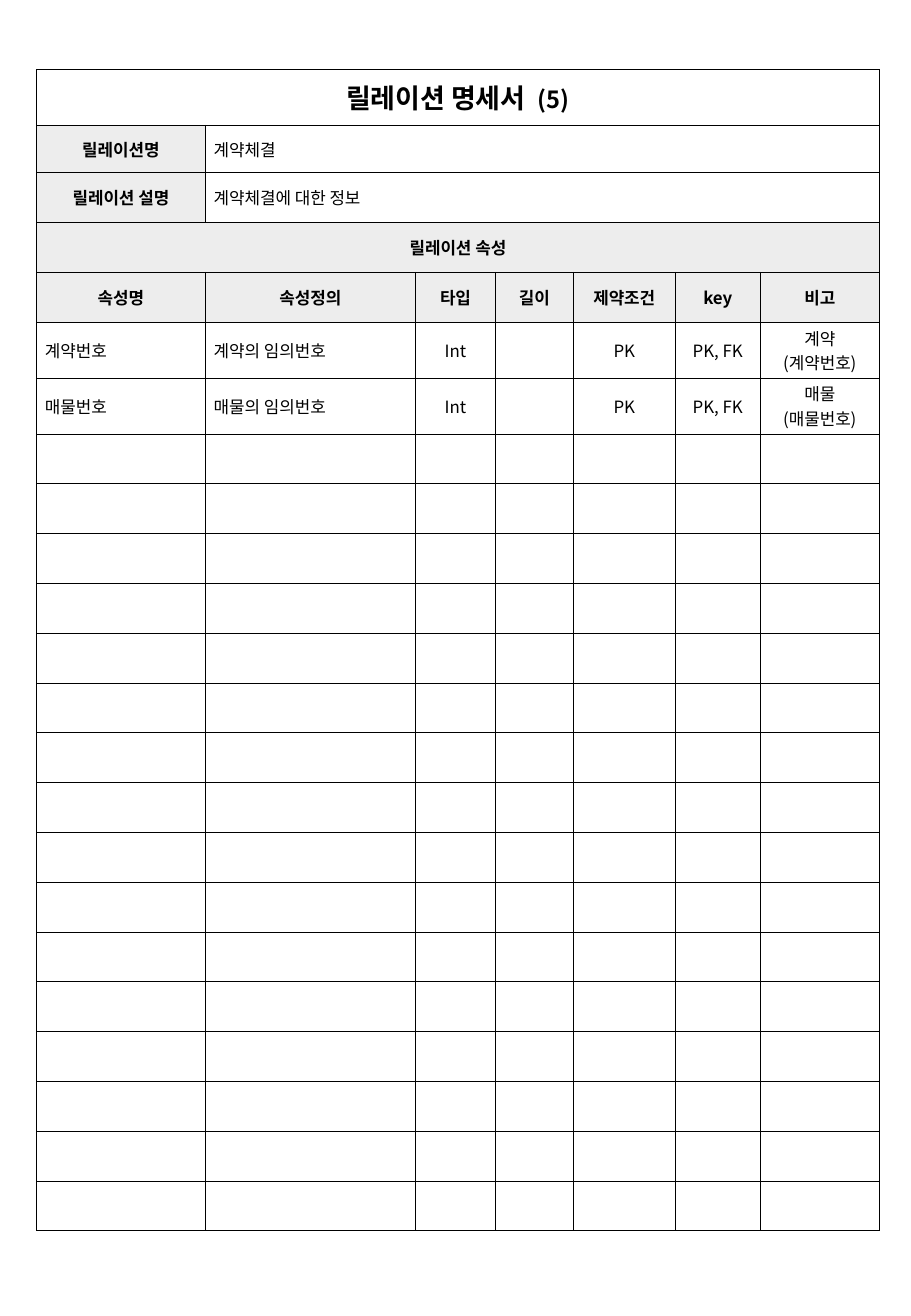
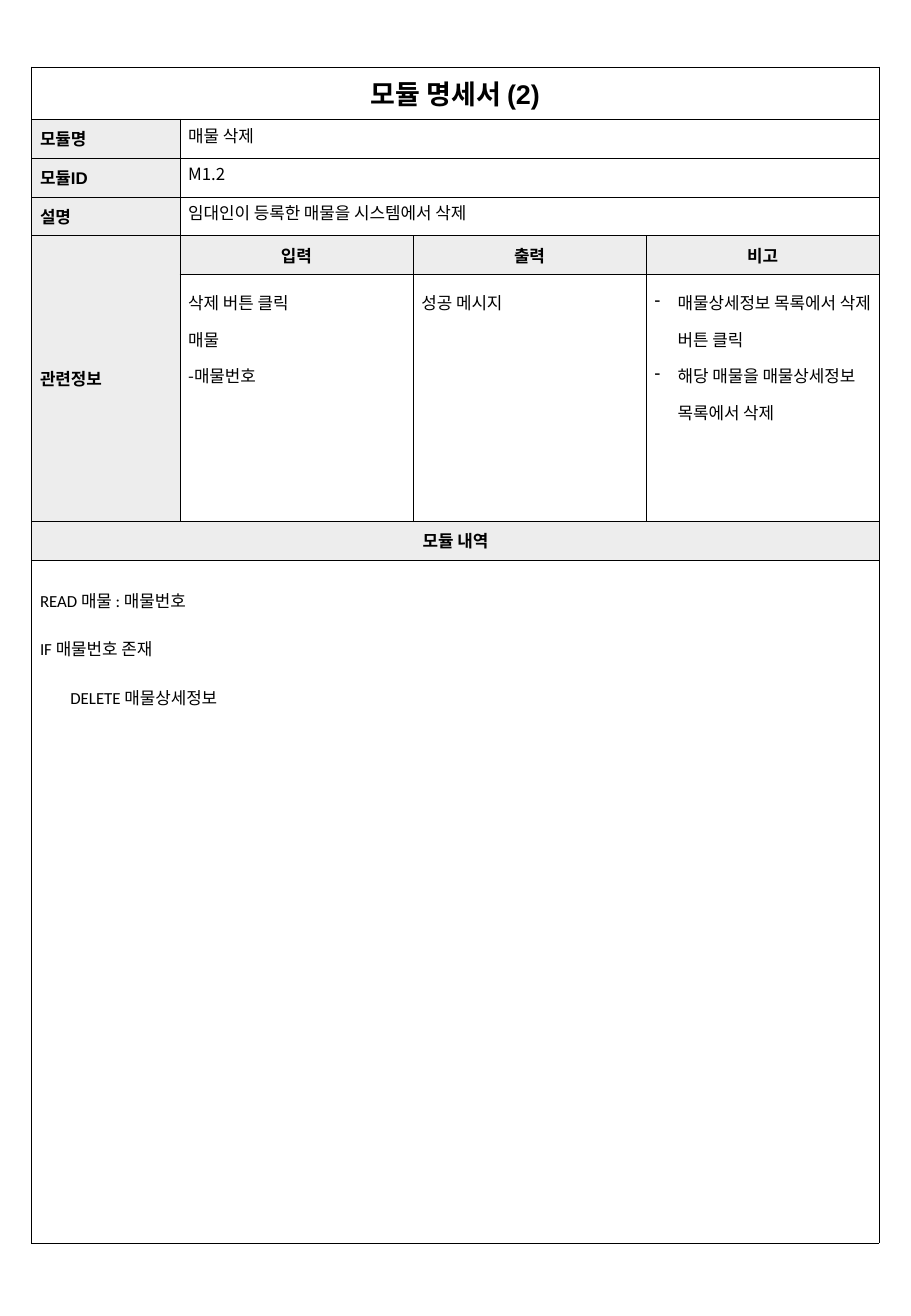
from lxml.etree import SubElement
from pptx import Presentation
from pptx.dml.color import RGBColor
from pptx.enum.text import MSO_ANCHOR as Anchor, PP_ALIGN as Align
from pptx.oxml import parse_xml
from pptx.oxml.ns import nsdecls, qn
from pptx.util import Inches, Pt

BLACK, WHITE, GREY = "000000", "FFFFFF", "EDEDED"
NOTO, ARIAL, CALIBRI = "Noto Sans CJK KR", "Arial", "Calibri"
BORDER = Pt(0.25)

BASE = dict(font=NOTO, size=10, bold=False, fill=WHITE, align=Align.LEFT,
            anchor=Anchor.MIDDLE, spacing=None, bullet=None)
VALUE = BASE
CENTRED = BASE | dict(align=Align.CENTER)
HEADING = CENTRED | dict(bold=True, fill=GREY)
TITLE = CENTRED | dict(bold=True, size=16)
ARIAL_TITLE = TITLE | dict(font=ARIAL)
ARIAL_HEADING = HEADING | dict(font=ARIAL)
ARIAL_LABEL = ARIAL_HEADING | dict(align=Align.LEFT)
TOP_VALUE = BASE | dict(anchor=Anchor.TOP)
DETAIL = TOP_VALUE | dict(spacing=1.5)
REMARK = DETAIL | dict(bullet="-")
CODE = TOP_VALUE | dict(font=CALIBRI, spacing=2.0)

RELATION_TITLE = [("릴레이션 명세서  ", 16), ("(5)", 14)]
RELATION_FACTS = [("릴레이션명", "계약체결"), ("릴레이션 설명", "계약체결에 대한 정보")]
ATTRIBUTE_HEADING = "릴레이션 속성"
ATTRIBUTE_COLUMNS = ["속성명", "속성정의", "타입", "길이", "제약조건", "key", "비고"]
ATTRIBUTE_STYLES = [VALUE, VALUE] + [CENTRED] * 5
ATTRIBUTES = [
    ["계약번호", "계약의 임의번호", "Int", "", "PK", "PK, FK", ["계약", "(계약번호)"]],
    ["매물번호", "매물의 임의번호", "Int", "", "PK", "PK, FK", ["매물", "(매물번호)"]],
]
RELATION_COLS = [1.39, 1.73, 0.66, 0.64, 0.84, 0.7, 0.98]
RELATION_ROWS = [0.46, 0.39] + [0.41] * 21

MODULE_TITLE = "모듈 명세서 (2)"
MODULE_FACTS = [("모듈명", "매물 삭제"), ("모듈ID", "M1.2"),
                ("설명", "임대인이 등록한 매물을 시스템에서 삭제")]
RELATED_LABEL = "관련정보"
RELATED = [
    ("입력", DETAIL, ["삭제 버튼 클릭", "매물", "-매물번호"]),
    ("출력", DETAIL, ["성공 메시지"]),
    ("비고", REMARK, ["매물상세정보 목록에서 삭제 버튼 클릭",
                    "해당 매물을 매물상세정보 목록에서 삭제"]),
]
STEPS_HEADING = "모듈 내역"
STEPS = ["READ 매물 : 매물번호", "IF 매물번호 존재", ("DELETE 매물상세정보", 0.25)]
MODULE_COLS = [1.22] + [1.92] * 3
MODULE_ROWS = [0.43] + [0.32] * 4 + [2.03, 0.32, 5.62]


def rgb(colour):
    return RGBColor.from_string(colour)


def add_run(paragraph, words, style, size):
    run = paragraph.add_run()
    run.text = words
    font = run.font
    font.size, font.bold, font.name = Pt(size), style["bold"], style["font"]
    font.color.rgb = rgb(BLACK)
    SubElement(font._element, qn("a:ea"), typeface=NOTO)


def format_cell(cell, fill):
    cell.margin_left = cell.margin_right = Inches(0.07)
    cell.margin_top = cell.margin_bottom = Inches(0.03)
    cell.fill.solid()
    cell.fill.fore_color.rgb = rgb(fill)
    for position, side in enumerate("LRTB"):
        cell._tc.tcPr.insert(position, parse_xml(
            f'<a:ln{side} {nsdecls("a")} w="{BORDER}"><a:solidFill>'
            f'<a:srgbClr val="{BLACK}"/></a:solidFill></a:ln{side}>'))
    cell.text_frame.paragraphs[0]._p.get_or_add_endParaRPr().set("sz", "1000")


def write_cell(cell, content, style):
    cell.vertical_anchor = style["anchor"]
    cell.fill.fore_color.rgb = rgb(style["fill"])
    lines = content if isinstance(content, list) else [content]
    for number, line in enumerate(lines):
        words, indent = line if isinstance(line, tuple) else (line, 0)
        frame = cell.text_frame
        paragraph = frame.add_paragraph() if number else frame.paragraphs[0]
        paragraph.alignment = style["align"]
        if style["spacing"]:
            paragraph.line_spacing = style["spacing"]
        properties = paragraph._p.get_or_add_pPr()
        if indent:
            properties.set("marL", str(Inches(indent)))
        if style["bullet"]:
            properties.set("marL", str(Inches(0.19)))
            properties.set("indent", str(Inches(-0.19)))
            SubElement(properties, qn("a:buChar"), char=style["bullet"])
        for text, size in words if isinstance(words, list) else [(words, style["size"])]:
            if text:
                add_run(paragraph, text, style, size)


def add_form(deck, left, top, widths, heights, entries):
    slide = deck.slides.add_slide(deck.slide_layouts[6])
    form = slide.shapes.add_table(len(heights), len(widths), Inches(left), Inches(top),
                                  Inches(sum(widths)), Inches(sum(heights))).table
    form.first_row = form.horz_banding = False
    for column, width in zip(form.columns, widths):
        column.width = Inches(width)
    for row, height in zip(form.rows, heights):
        row.height = Inches(height)
    for cell in form.iter_cells():
        format_cell(cell, WHITE)
    for row, col, down, across, style, content in entries:
        cell = form.cell(row, col)
        if down * across > 1:
            cell.merge(form.cell(row + down - 1, col + across - 1))
        write_cell(cell, content, style)


def fact_entries(facts, label_style, value_style, across):
    for row, (label, value) in enumerate(facts, 1):
        yield row, 0, 1, 1, label_style, label
        yield row, 1, 1, across, value_style, value


def relation_entries():
    yield 0, 0, 1, 7, TITLE, [(RELATION_TITLE, 0)]
    yield from fact_entries(RELATION_FACTS, HEADING, VALUE, 6)
    yield 3, 0, 1, 7, HEADING, ATTRIBUTE_HEADING
    for col, name in enumerate(ATTRIBUTE_COLUMNS):
        yield 4, col, 1, 1, HEADING, name
    for row, attribute in enumerate(ATTRIBUTES, 5):
        for col, (style, value) in enumerate(zip(ATTRIBUTE_STYLES, attribute)):
            yield row, col, 1, 1, style, value


def module_entries():
    yield 0, 0, 1, 4, ARIAL_TITLE, MODULE_TITLE
    yield from fact_entries(MODULE_FACTS, ARIAL_LABEL, TOP_VALUE, 3)
    yield 4, 0, 2, 1, ARIAL_LABEL, RELATED_LABEL
    for col, (name, style, lines) in enumerate(RELATED, 1):
        yield 4, col, 1, 1, ARIAL_HEADING, name
        yield 5, col, 1, 1, style, lines
    yield 6, 0, 1, 4, ARIAL_HEADING, STEPS_HEADING
    yield 7, 0, 1, 4, CODE, STEPS


def main():
    deck = Presentation()
    deck.slide_width, deck.slide_height = Inches(7.5), Inches(10.83)
    add_form(deck, 0.3, 0.57, RELATION_COLS, RELATION_ROWS, relation_entries())
    add_form(deck, 0.26, 0.55, MODULE_COLS, MODULE_ROWS, module_entries())
    deck.save("out.pptx")


if __name__ == "__main__":
    main()
